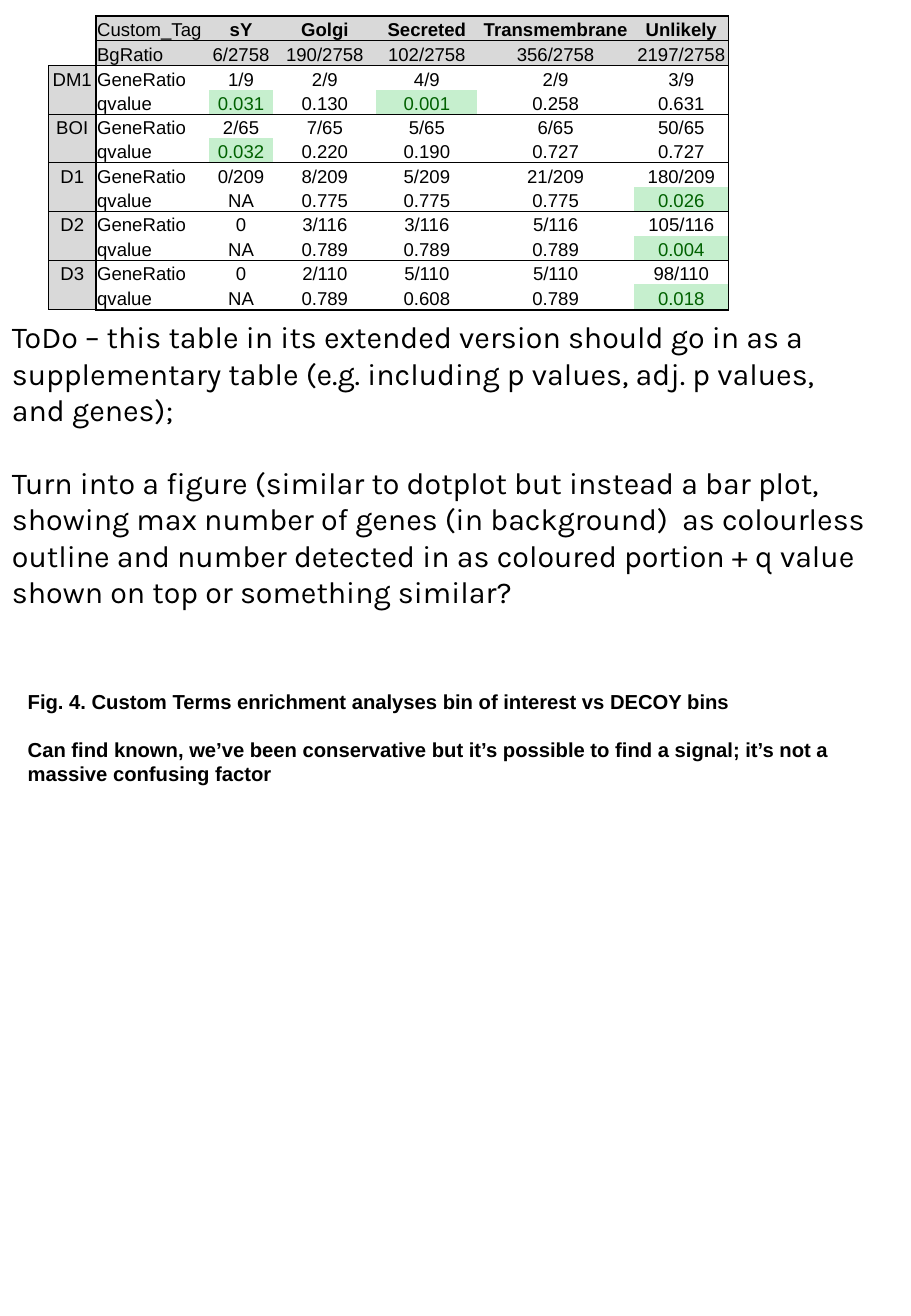
from lxml import etree
from pptx import Presentation
from pptx.dml.color import RGBColor
from pptx.enum.text import MSO_ANCHOR, PP_ALIGN
from pptx.oxml.ns import qn
from pptx.util import Inches, Pt

LEFT, CENTER = PP_ALIGN.LEFT, PP_ALIGN.CENTER
BOTTOM = MSO_ANCHOR.BOTTOM
BLACK, GRAY, GREEN, MINT = "000000", "D9D9D9", "006100", "C6EFCE"
WIDTHS = [0.39, 0.93, 0.53, 0.85, 0.83, 1.29, 0.78]
HEIGHTS = [0.2, 0.21] + [0.2] * 9 + [0.21]
HEADS = [
    ["", "Custom_Tag", "sY", "Golgi", "Secreted", "Transmembrane", "Unlikely"],
    ["", "BgRatio", "6/2758", "190/2758", "102/2758", "356/2758", "2197/2758"],
]
BINS = [
    ("DM1", "1/9 2/9 4/9 2/9 3/9", "0.031 0.130 0.001 0.258 0.631"),
    ("BOI", "2/65 7/65 5/65 6/65 50/65", "0.032 0.220 0.190 0.727 0.727"),
    ("D1", "0/209 8/209 5/209 21/209 180/209", "NA 0.775 0.775 0.775 0.026"),
    ("D2", "0 3/116 3/116 5/116 105/116", "NA 0.789 0.789 0.789 0.004"),
    ("D3", "0 2/110 5/110 5/110 98/110", "NA 0.789 0.608 0.789 0.018"),
]
TODO = [
    "ToDo – this table in its extended version should go in as a supplementary "
    "table (e.g. including p values, adj. p values, and genes);",
    "Turn into a figure (similar to dotplot but instead a bar plot, showing max "
    "number of genes (in background)  as colourless outline and number detected "
    "in as coloured portion + q value shown on top or something similar?",
]
CAPTION = [
    "Fig. 4. Custom Terms enrichment analyses bin of interest vs DECOY bins",
    "Can find known, we’ve been conservative but it’s possible to find a signal; "
    "it’s not a massive confusing factor",
]


def color(code):
    """Return the colour for a hex string."""
    return RGBColor.from_string(code)


def write(frame, *texts, size=11, name="Arial", bold=False, ink=BLACK, align=LEFT, gap=0):
    """Fill a text frame with one paragraph for each text."""
    frame.word_wrap = True
    for i, text in enumerate(texts):
        para = frame.add_paragraph() if i else frame.paragraphs[0]
        para.alignment = align
        if i:
            para.space_before = Pt(gap)
        if not text:
            para._p.get_or_add_endParaRPr().set("sz", str(size * 100))
            continue
        run = para.add_run()
        run.text = text
        font = run.font
        font.size, font.name, font.bold = Pt(size), name, bold
        font.color.rgb = color(ink)


def border(cell, side, width):
    """Draw one side of a cell, or clear it when the width is zero."""
    line = etree.SubElement(cell._tc.get_or_add_tcPr(), qn(f"a:ln{side}"))
    if not width:
        etree.SubElement(line, qn("a:noFill"))
        return
    line.set("w", str(Pt(width)))
    fill = etree.SubElement(line, qn("a:solidFill"))
    etree.SubElement(fill, qn("a:srgbClr"), val=BLACK)


def above(row, col):
    """Return the width of the rule above a cell."""
    if row < 2:
        return (1 if row == 0 else 0.5) if col else 0
    if row % 2:
        return 0
    return 1 if col and row in (2, len(HEIGHTS)) else 0.5


def before(row, col):
    """Return the width of the rule to the left of a cell."""
    if col == 0:
        return 0.5 if row > 1 else 0
    return 1 if col in (1, len(WIDTHS)) else 0


def style(cell, row, col, text):
    """Set the text, rules and fill of one cell."""
    cell.margin_left = cell.margin_right = cell.margin_top = Inches(0.01)
    cell.margin_bottom = 0
    cell.vertical_anchor = BOTTOM
    hit = row > 2 and text.startswith("0.0")
    write(cell.text_frame, text, bold=row == 0 and col > 1,
          ink=GREEN if hit else BLACK, align=LEFT if col == 1 else CENTER)
    border(cell, "L", before(row, col))
    border(cell, "R", before(row, col + 1))
    border(cell, "T", above(row, col))
    border(cell, "B", above(row + 1, col))
    shade = MINT if hit else GRAY if (row < 2) != (col == 0) else None
    if shade:
        cell.fill.solid()
        cell.fill.fore_color.rgb = color(shade)
    else:
        cell.fill.background()


def grid(slide, x, y):
    """Place the enrichment table."""
    rows = list(HEADS)
    for label, genes, scores in BINS:
        rows.append([label, "GeneRatio", *genes.split()])
        rows.append(["", "qvalue", *scores.split()])
    table = slide.shapes.add_table(
        len(rows), len(WIDTHS), Inches(x), Inches(y),
        Inches(sum(WIDTHS)), Inches(sum(HEIGHTS))).table
    table.first_row = table.horz_banding = False
    for column, width in zip(table.columns, WIDTHS):
        column.width = Inches(width)
    for r, texts in enumerate(rows):
        table.rows[r].height = Inches(HEIGHTS[r])
        for c, text in enumerate(texts):
            style(table.cell(r, c), r, c, text)


def note(slide, x, y, w, h, texts, **form):
    """Place a text box with its paragraphs."""
    box = slide.shapes.add_textbox(Inches(x), Inches(y), Inches(w), Inches(h))
    write(box.text_frame, *texts, **form)


def main():
    """Build and save the slide."""
    deck = Presentation()
    deck.slide_width, deck.slide_height = Inches(7.5), Inches(10.83)
    slide = deck.slides.add_slide(deck.slide_layouts[6])
    note(slide, 0.13, 5.62, 7.47, 1.11, CAPTION, size=12, bold=True, gap=14)
    grid(slide, 0.4, 0.13)
    note(slide, 0, 2.57, 7.25, 2.52, TODO, size=18, name="Karla", gap=21.5)
    deck.save("out.pptx")


if __name__ == "__main__":
    main()
